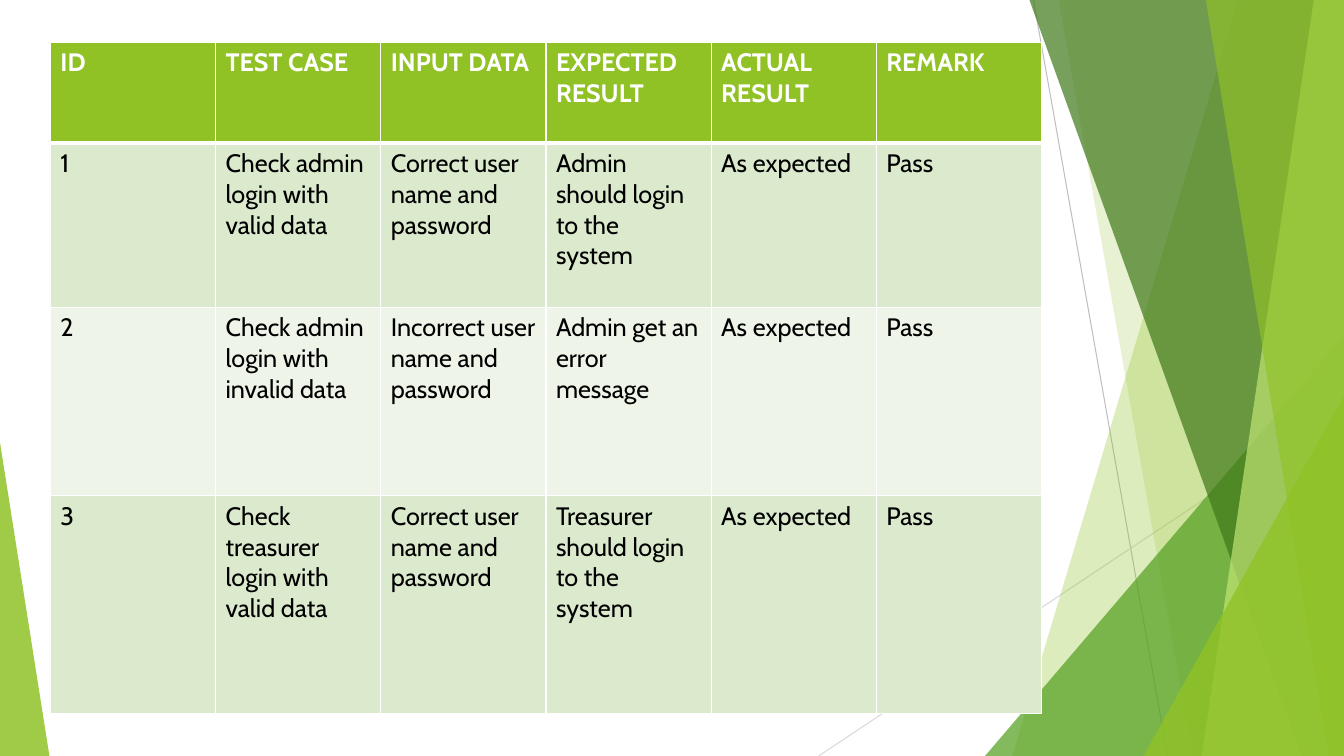
from dataclasses import dataclass

from lxml import etree
from pptx import Presentation
from pptx.dml.color import RGBColor
from pptx.enum.shapes import MSO_CONNECTOR, MSO_SHAPE
from pptx.oxml.ns import qn
from pptx.shapes.autoshape import Shape
from pptx.slide import Slide
from pptx.table import _Cell
from pptx.util import Inches, Pt

STRAIGHT = MSO_CONNECTOR.STRAIGHT
TRIANGLE = MSO_SHAPE.ISOSCELES_TRIANGLE

LIME = RGBColor(0x90, 0xC2, 0x26)
PALE_LIME = RGBColor(0xC0, 0xE4, 0x74)
GREEN = RGBColor(0x54, 0xA0, 0x21)
DARK_GREEN = RGBColor(0x3F, 0x78, 0x19)
BAND_DARK = RGBColor(0xDB, 0xE9, 0xCD)
BAND_LIGHT = RGBColor(0xEE, 0xF4, 0xE8)
GRAY = RGBColor(0xBF, 0xBF, 0xBF)
LIGHT_GRAY = RGBColor(0xD9, 0xD9, 0xD9)
WHITE = RGBColor(0xFF, 0xFF, 0xFF)
BLACK = RGBColor(0x00, 0x00, 0x00)

FONT = "Cabin"
WIDTH, HEIGHT = 13.33, 7.5
TABLE_LEFT, TABLE_TOP, TABLE_WIDTH = 0.5, 0.42, 9.83
ROW_HEIGHTS = (1.0, 1.63, 1.87, 2.16)

TEST_CASES = (
    ("ID", "TEST CASE", "INPUT DATA", "EXPECTED RESULT", "ACTUAL RESULT", "REMARK"),
    ("1", "Check admin login with valid data", "Correct user name and password",
     "Admin should login to the system", "As expected", "Pass"),
    ("2", "Check admin login with invalid data", "Incorrect user name and password",
     "Admin get an error message", "As expected", "Pass"),
    ("3", "Check treasurer login with valid data", "Correct user name and password",
     "Treasurer should login to the system", "As expected", "Pass"),
)


@dataclass(frozen=True)
class Ray:
    start: tuple[float, float]
    end: tuple[float, float]
    color: RGBColor


@dataclass(frozen=True)
class Facet:
    top_left: float
    bottom_left: float
    color: RGBColor
    opacity: int


@dataclass(frozen=True)
class Wedge:
    left: float
    top: float
    width: float
    apex: float
    color: RGBColor
    opacity: int


RAYS = (
    Ray((10.25, 0), (11.58, HEIGHT), GRAY),
    Ray((WIDTH, 4.03), (8.12, HEIGHT), LIGHT_GRAY),
)

DECORATIONS = (
    Facet(12.28, 10.04, LIME, 30),
    Facet(10.5, 11.83, LIME, 20),
    Wedge(9.77, 3.33, 3.56, 1, GREEN, 72),
    Facet(10.21, 12.91, DARK_GREEN, 70),
    Facet(13.03, 11.92, PALE_LIME, 70),
    Facet(11.96, 13.18, LIME, 65),
    Wedge(11.34, 3.93, 1.99, 1, LIME, 80),
    Wedge(0, 4.39, 0.49, 0, LIME, 85),
)


def add_ray(slide: Slide, ray: Ray) -> None:
    connector = slide.shapes.add_connector(
        STRAIGHT, *map(Inches, ray.start), *map(Inches, ray.end))
    connector.line.color.rgb = ray.color
    connector.line.width = Pt(0.75)
    etree.SubElement(connector._element.spPr, qn("a:effectLst"))


def paint(shape: Shape, color: RGBColor, opacity: int) -> None:
    shape.shadow.inherit = False
    shape.line.fill.background()
    shape.fill.solid()
    shape.fill.fore_color.rgb = color
    color_element = shape._element.spPr.find(qn("a:solidFill"))[0]
    etree.SubElement(color_element, qn("a:alpha"), val=str(opacity * 1000))


def add_facet(slide: Slide, facet: Facet) -> None:
    builder = slide.shapes.build_freeform(Inches(facet.top_left), 0)
    corners = ((WIDTH, 0), (WIDTH, HEIGHT), (facet.bottom_left, HEIGHT))
    builder.add_line_segments([(Inches(x), Inches(y)) for x, y in corners], close=True)
    paint(builder.convert_to_shape(), facet.color, facet.opacity)


def add_wedge(slide: Slide, wedge: Wedge) -> None:
    shape = slide.shapes.add_shape(
        TRIANGLE, Inches(wedge.left), Inches(wedge.top),
        Inches(wedge.width), Inches(HEIGHT - wedge.top))
    shape.adjustments[0] = wedge.apex
    paint(shape, wedge.color, wedge.opacity)


def add_borders(cell: _Cell, widths: dict[str, float]) -> None:
    properties = cell._tc.get_or_add_tcPr()
    for position, (side, width) in enumerate(widths.items()):
        border = etree.Element(qn(f"a:ln{side}"), w=str(Pt(width)))
        fill = etree.SubElement(border, qn("a:solidFill"))
        etree.SubElement(fill, qn("a:srgbClr"), val=str(WHITE))
        properties.insert(position, border)


def fill_cell(cell: _Cell, text: str, row: int) -> None:
    is_header = row == 0
    cell.fill.solid()
    cell.fill.fore_color.rgb = LIME if is_header else BAND_DARK if row % 2 else BAND_LIGHT
    add_borders(cell, {"L": 1, "R": 1, "T": 3 if row == 1 else 1, "B": 3 if is_header else 1})
    run = cell.text_frame.paragraphs[0].add_run()
    run.text = text
    run.font.name = FONT
    run.font.size = Pt(18)
    run.font.bold = is_header
    run.font.color.rgb = WHITE if is_header else BLACK


def add_test_table(slide: Slide) -> None:
    column_count = len(TEST_CASES[0])
    table = slide.shapes.add_table(
        len(TEST_CASES), column_count, Inches(TABLE_LEFT), Inches(TABLE_TOP),
        Inches(TABLE_WIDTH), Inches(sum(ROW_HEIGHTS))).table
    for column in table.columns:
        column.width = Inches(TABLE_WIDTH / column_count)
    for row, (height, texts) in enumerate(zip(ROW_HEIGHTS, TEST_CASES)):
        table.rows[row].height = Inches(height)
        for column, text in enumerate(texts):
            fill_cell(table.cell(row, column), text, row)


def main() -> None:
    presentation = Presentation()
    presentation.slide_width = Inches(WIDTH)
    presentation.slide_height = Inches(HEIGHT)
    slide = presentation.slides.add_slide(presentation.slide_layouts[6])
    for ray in RAYS:
        add_ray(slide, ray)
    for decoration in DECORATIONS:
        if isinstance(decoration, Facet):
            add_facet(slide, decoration)
        else:
            add_wedge(slide, decoration)
    add_test_table(slide)
    presentation.save("out.pptx")


if __name__ == "__main__":
    main()
